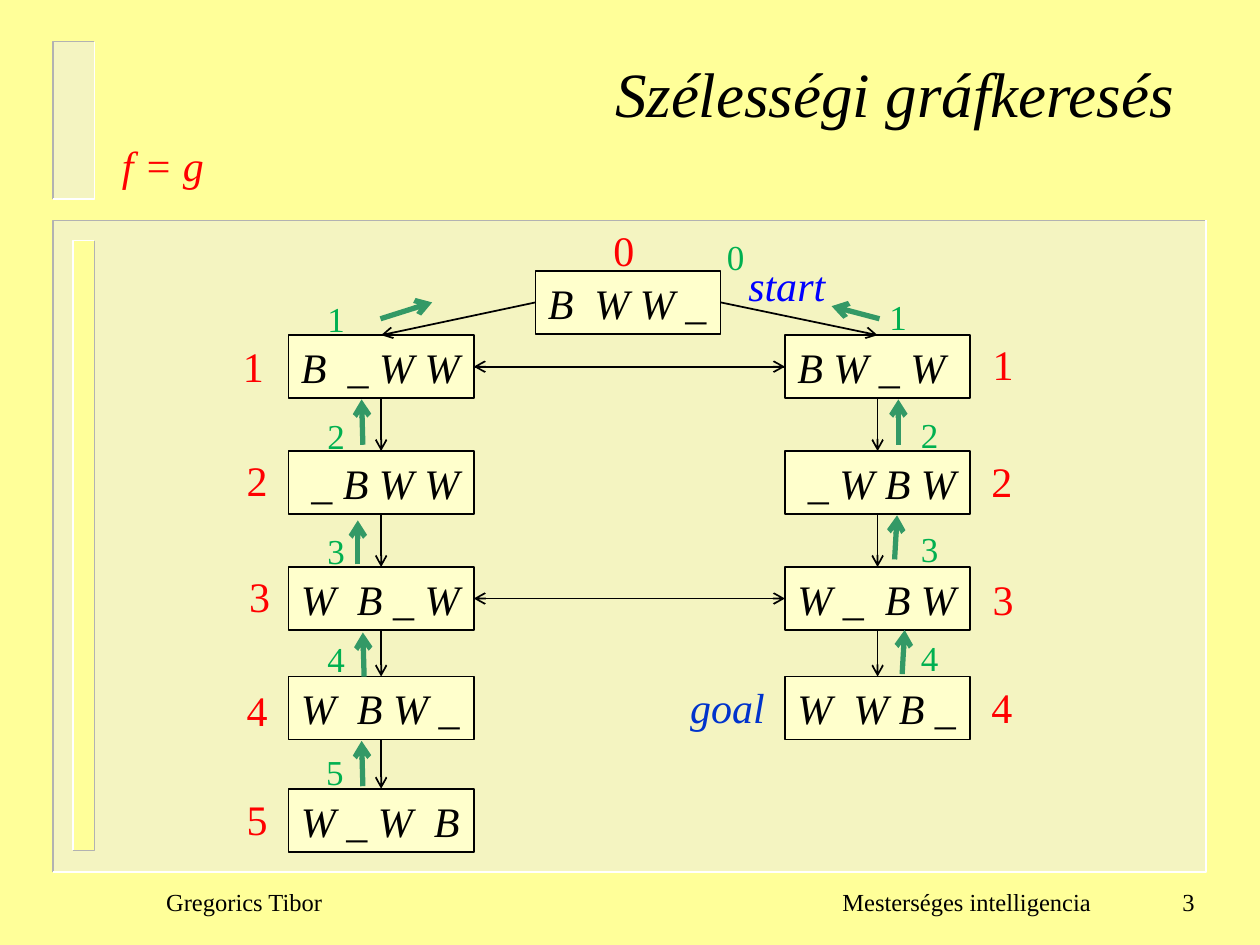
from dataclasses import dataclass

from lxml.etree import SubElement
from pptx import Presentation
from pptx.dml.color import RGBColor
from pptx.enum.shapes import MSO_CONNECTOR, MSO_SHAPE
from pptx.enum.text import MSO_ANCHOR, PP_ALIGN
from pptx.oxml.ns import qn
from pptx.util import Inches, Pt


@dataclass(frozen=True)
class Theme:
    """Colours, type sizes and the font of the slide."""
    font: str = "Times New Roman"
    page: str = "FFFF99"
    panel: str = "EAEAEA"
    node: str = "FFFFCC"
    ink: str = "000000"
    shade: str = "B2B2B2"
    light: str = "FFFFFF"
    cost: str = "FF0000"
    order: str = "00B050"
    parent: str = "339966"
    start: str = "0000FF"
    goal: str = "0033CC"
    title_size: int = 36
    text_size: int = 24
    order_size: int = 20
    footer_size: int = 14


TOP, LEFT, BOTTOM, RIGHT = range(4)  # connection sites of a rectangle


class SlideBuilder:
    """Draws styled elements on one slide."""

    def __init__(self, page, theme):
        """Keep the slide and style, and paint the background."""
        self.page, self.theme = page, theme
        page.background.fill.solid()
        page.background.fill.fore_color.rgb = RGBColor.from_string(theme.page)

    def set_text(self, shape, text, size, color, italic=False, align=PP_ALIGN.LEFT):
        """Put one formatted paragraph into a shape."""
        para = shape.text_frame.paragraphs[0]
        para.text, para.alignment = text, align
        font = para.font
        font.name, font.size, font.italic, font.bold = self.theme.font, Pt(size), italic, False
        font.color.rgb = RGBColor.from_string(color)

    def title(self, text, left, top, width, height):
        """Move and fill the title placeholder."""
        box = self.page.shapes.title
        box.left, box.top = Inches(left), Inches(top)
        box.width, box.height = Inches(width), Inches(height)
        box.text_frame.vertical_anchor = MSO_ANCHOR.TOP
        self.set_text(box, text, self.theme.title_size, self.theme.ink, True, PP_ALIGN.RIGHT)

    def label(self, text, left, top, width, height, size, color,
              italic=False, align=PP_ALIGN.LEFT):
        """Add a text box."""
        box = self.page.shapes.add_textbox(
            Inches(left), Inches(top), Inches(width), Inches(height))
        box.text_frame.word_wrap = True
        self.set_text(box, text, size, color, italic, align)
        return box

    def rectangle(self, left, top, width, height, color):
        """Add a plain filled rectangle."""
        box = self.page.shapes.add_shape(
            MSO_SHAPE.RECTANGLE, Inches(left), Inches(top), Inches(width), Inches(height))
        box.shadow.inherit = False
        box.fill.solid()
        box.fill.fore_color.rgb = RGBColor.from_string(color)
        box.line.fill.background()
        return box

    def edge(self, points, color):
        """Add an open bevel edge through the points."""
        corners = [(Inches(x), Inches(y)) for x, y in points]
        builder = self.page.shapes.build_freeform(*corners[0])
        builder.add_line_segments(corners[1:], close=False)
        outline = builder.convert_to_shape()
        outline.shadow.inherit = False
        outline.fill.background()
        self.stroke(outline, color, 1)

    def panel(self, left, top, width, height, color, opacity=100, raised=False):
        """Add a bevelled panel, sunken unless raised."""
        box = self.rectangle(left, top, width, height, color)
        if opacity < 100:
            tint = box._element.spPr.find(".//" + qn("a:srgbClr"))
            SubElement(tint, qn("a:alpha"), val=str(opacity * 1000))
        right, bottom = left + width, top + height
        ends = [(right, top), (left, bottom)]
        colors = [self.theme.shade, self.theme.light]
        if raised:
            colors.reverse()
        for corner, shade in zip([(left, top), (right, bottom)], colors):
            self.edge([ends[0], corner, ends[1]], shade)

    def node(self, text, left, top):
        """Add a state box of the graph."""
        box = self.rectangle(left, top, 1.47, 0.5, self.theme.node)
        self.stroke(box, self.theme.ink, 1)
        box.text_frame.word_wrap = False
        self.set_text(box, text, self.theme.text_size, self.theme.ink, True)
        return box

    def stroke(self, shape, color, width):
        """Set the line colour and width."""
        shape.line.color.rgb = RGBColor.from_string(color)
        shape.line.width = Pt(width)

    def arrow(self, begin, end, color, width):
        """Add a straight arrow from begin to end."""
        line = self.page.shapes.add_connector(
            MSO_CONNECTOR.STRAIGHT, *[Inches(value) for value in (*begin, *end)])
        self.stroke(line, color, width)
        properties = line._element.spPr
        SubElement(properties.find(qn("a:ln")), qn("a:tailEnd"), type="arrow")
        SubElement(properties, qn("a:effectLst"))
        return line

    def link(self, source, source_site, target, target_site):
        """Join two state boxes with an arrow."""
        line = self.arrow((0, 0), (0, 0), self.theme.ink, 1)
        line.begin_connect(source, source_site)
        line.end_connect(target, target_site)


theme = Theme()
deck = Presentation()
deck.slide_width, deck.slide_height = Inches(10), Inches(7.5)
slide = SlideBuilder(deck.slides.add_slide(deck.slide_layouts[5]), theme)

slide.panel(0.42, 1.75, 9.15, 5.17, theme.panel, opacity=50)
slide.panel(0.58, 1.91, 0.17, 4.84, theme.page, raised=True)
slide.panel(0.42, 0.33, 0.33, 1.25, theme.panel, opacity=50)
slide.title("Szélességi gráfkeresés", 0.92, 0.38, 8.5, 1.21)

ROW_TOPS = [2.66, 3.58, 4.5, 5.37, 6.26]
# Per column: left edge, then each state with its cost place, order place
# and the two ends of its arrow back to the parent.
COLUMNS = [
    (2.29, [
        ("B  _ W W", (1.83, 2.65), (2.5, 2.31), (3.02, 2.53), (3.43, 2.4)),
        (" _ B W W", (1.86, 3.56), (2.5, 3.24), (2.88, 3.53), (2.87, 3.17)),
        ("W  B _ W", (1.88, 4.48), (2.5, 4.15), (2.84, 4.48), (2.84, 4.13)),
        ("W  B W _", (1.86, 5.38), (2.5, 5.01), (2.89, 5.37), (2.88, 5.02)),
        ("W _ W  B", (1.86, 6.25), (2.49, 5.91), (2.88, 6.24), (2.87, 5.88)),
    ]),
    (6.23, [
        ("B W _ W ", (7.78, 2.64), (6.96, 2.3), (6.98, 2.53), (6.6, 2.43)),
        (" _ W B W", (7.77, 3.57), (7.21, 3.23), (7.13, 3.53), (7.13, 3.17)),
        ("W _  B W", (7.78, 4.5), (7.21, 4.14), (7.1, 4.44), (7.12, 4.09)),
        ("W  W B _", (7.77, 5.36), (7.21, 5), (7.16, 5.35), (7.18, 5)),
    ]),
]


def number(value, cost_place, order_place):
    """Place the red cost and the green order of a state."""
    slide.label(str(value), *cost_place, 0.37, 0.5, theme.text_size, theme.cost)
    slide.label(str(value), *order_place, 0.37, 0.44, theme.order_size, theme.order)


root = slide.node("B  W W _", 4.25, 2.15)
number(0, (4.77, 1.73), (5.67, 1.82))

branches = []
for (column_left, states), root_site in zip(COLUMNS, (LEFT, RIGHT)):
    branch = []
    for depth, (state, cost, order, begin, end) in enumerate(states, start=1):
        box = slide.node(state, column_left, ROW_TOPS[depth - 1])
        if branch:
            slide.link(branch[-1], BOTTOM, box, TOP)
        else:
            slide.link(root, root_site, box, TOP)
        number(depth, cost, order)
        slide.arrow(begin, end, theme.parent, 3)
        branch.append(box)
    branches.append(branch)

for row in (0, 2):
    left_box, right_box = (branch[row] for branch in branches)
    slide.link(left_box, RIGHT, right_box, LEFT)
    slide.link(right_box, LEFT, left_box, RIGHT)

for text, left, top, width, color in [
    ("start", 5.84, 2.01, 0.82, theme.start),
    ("goal", 5.38, 5.36, 0.8, theme.goal),
    ("f = g", 0.87, 1.06, 0.86, theme.cost),
]:
    slide.label(text, left, top, width, 0.5, theme.text_size, color, italic=True)

for text, left, width, align in [
    ("Gregorics Tibor", 1.22, 2, PP_ALIGN.LEFT),
    ("Mesterséges intelligencia", 6.26, 2.5, PP_ALIGN.RIGHT),
    ("3", 8.88, 0.7, PP_ALIGN.RIGHT),
]:
    footer = slide.label(text, left, 6.91, width, 0.5, theme.footer_size, theme.ink, align=align)
    footer.text_frame.vertical_anchor = MSO_ANCHOR.MIDDLE

deck.save("out.pptx")
